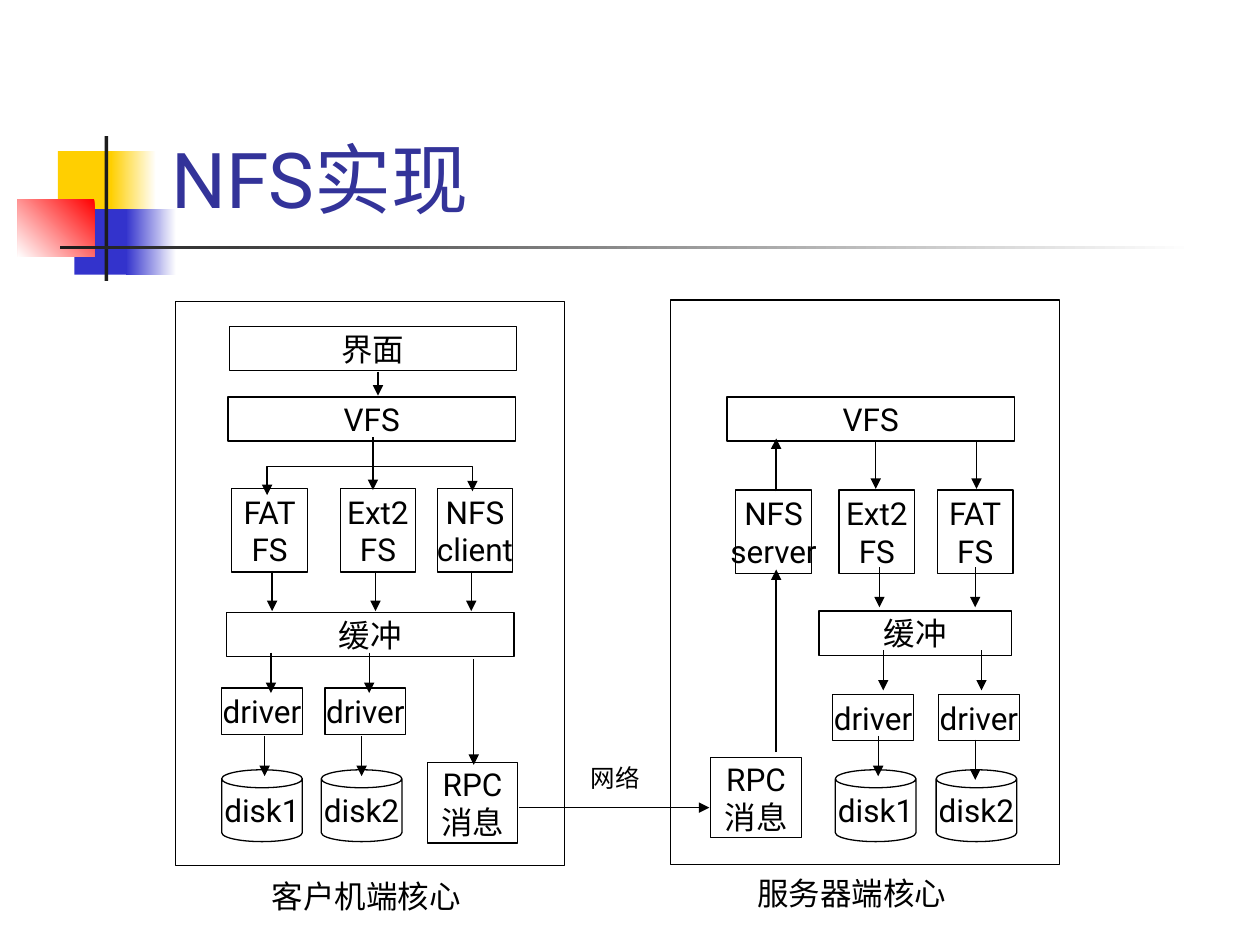
from lxml.etree import SubElement
from pptx import Presentation
from pptx.dml.color import RGBColor
from pptx.enum.shapes import MSO_CONNECTOR as Link, MSO_SHAPE as Shape
from pptx.enum.text import MSO_ANCHOR as Anchor, PP_ALIGN as Align
from pptx.oxml.ns import qn
from pptx.util import Inches, Pt

COLORS = {"ink": "000000", "paper": "FFFFFF", "title": "333399", "yellow": "FFCF01",
          "blue": "3333CC", "red": "FF0000", "bar": "1C1C1C"}
FONT = "Roboto"

ORNAMENTS = [
    ((0.46, 1.2, 0.48, 0.52), "yellow"),
    ((0.88, 1.2, 0.36, 0.52), ("paper", "yellow", 180)),
    ((0.59, 1.66, 0.46, 0.52), "blue"),
    ((1, 1.66, 0.4, 0.52), ("paper", "blue", 180)),
    ((0.14, 1.58, 0.61, 0.46), ("red", "paper", 225)),
    ((0.83, 1.08, 0.03, 1.15), "bar"),
    ((0.48, 1.95, 9, 0.03), ("paper", "bar", 180)),
]
SIZES = {"layer": (2.28, 0.35), "cache": (1.53, 0.35), "fs": (0.6, 0.66),
         "driver": (0.64, 0.37), "rpc": (0.72, 0.64), "disk": (0.64, 0.57)}
PANEL = (3.09, 4.48)

KERNELS = [
    {"panel": (1.39, 2.39), "caption": ("客户机端核心", 2.06, 6.91), "rows": [
        ("layer", 2.59, [(1.82, "界面")]),
        ("layer", 3.15, [(1.81, "VFS")]),
        ("fs", 3.88, [(1.84, "FAT\nFS"), (2.7, "Ext2\nFS"), (3.47, "NFS\nclient")]),
        ("layer", 4.86, [(1.8, "缓冲")]),
        ("driver", 5.46, [(1.76, "driver"), (2.58, "driver")]),
        ("rpc", 6.05, [(3.39, "RPC\n消息")]),
        ("disk", 6.11, [(1.76, "disk1"), (2.55, "disk2")]),
    ]},
    {"panel": (5.32, 2.38), "caption": ("服务器端核心", 5.91, 6.89), "rows": [
        ("layer", 3.15, [(5.77, "VFS")]),
        ("fs", 3.89, [(5.84, "NFS\nserver"), (6.66, "Ext2\nFS"), (7.44, "FAT\nFS")]),
        ("cache", 4.85, [(6.5, "缓冲")]),
        ("driver", 5.51, [(6.61, "driver"), (7.45, "driver")]),
        ("rpc", 6.01, [(5.64, "RPC\n消息")]),
        ("disk", 6.11, [(6.63, "disk1"), (7.43, "disk2")]),
    ]},
]
VERTICAL_ARROWS = [
    (2.95, 3.14, [3]),
    (3.47, 3.89, [2.96]),
    (3.5, 3.88, [6.95, 7.75]),
    (4.53, 4.85, [2.16, 2.98, 3.74]),
    (4.5, 4.82, [6.98, 7.74]),
    (5.18, 5.5, [2.15, 2.93]),
    (5.16, 5.48, [7.01, 7.79]),
    (5.84, 6.16, [2.1, 2.87, 6.97]),
    (5.87, 6.19, [7.74]),
    (5.23, 6.07, [3.76]),
    (5.97, 4.52, [6.16]),
    (3.9, 3.48, [6.16]),
]
NETWORK_ARROW = (4.12, 6.41, 5.63, 6.41)
FS_BRANCH = [(2.12, 3.93), (2.12, 3.7), (3.75, 3.7), (3.75, 3.9)]

deck = Presentation()
deck.slide_width, deck.slide_height = Inches(10), Inches(7.5)
slide = deck.slides.add_slide(deck.slide_layouts[6])


def rgb(name):
    return RGBColor.from_string(COLORS[name])


def write(frame, text, size=18, color="ink", align=Align.LEFT, anchor=Anchor.TOP, wrap=True):
    frame.word_wrap = wrap
    frame.vertical_anchor = anchor
    frame.text = text
    for paragraph in frame.paragraphs:
        paragraph.alignment = align
        paragraph.font.size = Pt(size)
        paragraph.font.name = FONT
        paragraph.font.color.rgb = rgb(color)


def label(box, text, **style):
    write(slide.shapes.add_textbox(*map(Inches, box)).text_frame, text, **style)


def block(box, fill="paper", kind=Shape.RECTANGLE, outlined=True):
    shape = slide.shapes.add_shape(kind, *map(Inches, box))
    shape.shadow.inherit = False
    if isinstance(fill, tuple):
        start, end, angle = fill
        shape.fill.gradient()
        shape.fill.gradient_angle = angle
        for stop, name in zip(shape.fill.gradient_stops, (start, end)):
            stop.color.rgb = rgb(name)
    else:
        shape.fill.solid()
        shape.fill.fore_color.rgb = rgb(fill)
    if outlined:
        stroke(shape)
    else:
        shape.line.fill.background()
    return shape


def stroke(shape, ends=()):
    shape.line.color.rgb = rgb("ink")
    shape.line.width = Pt(0.75)
    outline = shape.element.spPr.find(qn("a:ln"))
    for end in ends:
        SubElement(outline, qn(f"a:{end}"), type="triangle")


def arrow(*points):
    line = slide.shapes.add_connector(Link.STRAIGHT, *map(Inches, points))
    stroke(line, ["tailEnd"])
    SubElement(line.element.spPr, qn("a:effectLst"))


for box, fill in ORNAMENTS:
    block(box, fill, outlined=False)
label((1.26, 0.23, 8.52, 1.6), "NFS实现", size=44, color="title", anchor=Anchor.BOTTOM)

for kernel in KERNELS:
    block(kernel["panel"] + PANEL)
    for role, top, nodes in kernel["rows"]:
        for left, text in nodes:
            node = block((left, top) + SIZES[role],
                         kind=Shape.CAN if role == "disk" else Shape.RECTANGLE)
            write(node.text_frame, text, align=Align.CENTER, anchor=Anchor.MIDDLE, wrap=False)
    caption, left, top = kernel["caption"]
    label((left, top, 1.78, 0.4), caption)

for start, end, columns in VERTICAL_ARROWS:
    for x in columns:
        arrow(x, start, x, end)
arrow(*NETWORK_ARROW)
label((4.59, 6.01, 0.62, 0.34), "网络", size=14)

branch_start, *branch_turns = [(Inches(x), Inches(y)) for x, y in FS_BRANCH]
pen = slide.shapes.build_freeform(*branch_start)
pen.add_line_segments(branch_turns, close=False)
branch = pen.convert_to_shape()
branch.shadow.inherit = False
branch.fill.background()
stroke(branch, ["headEnd", "tailEnd"])

deck.save("out.pptx")
